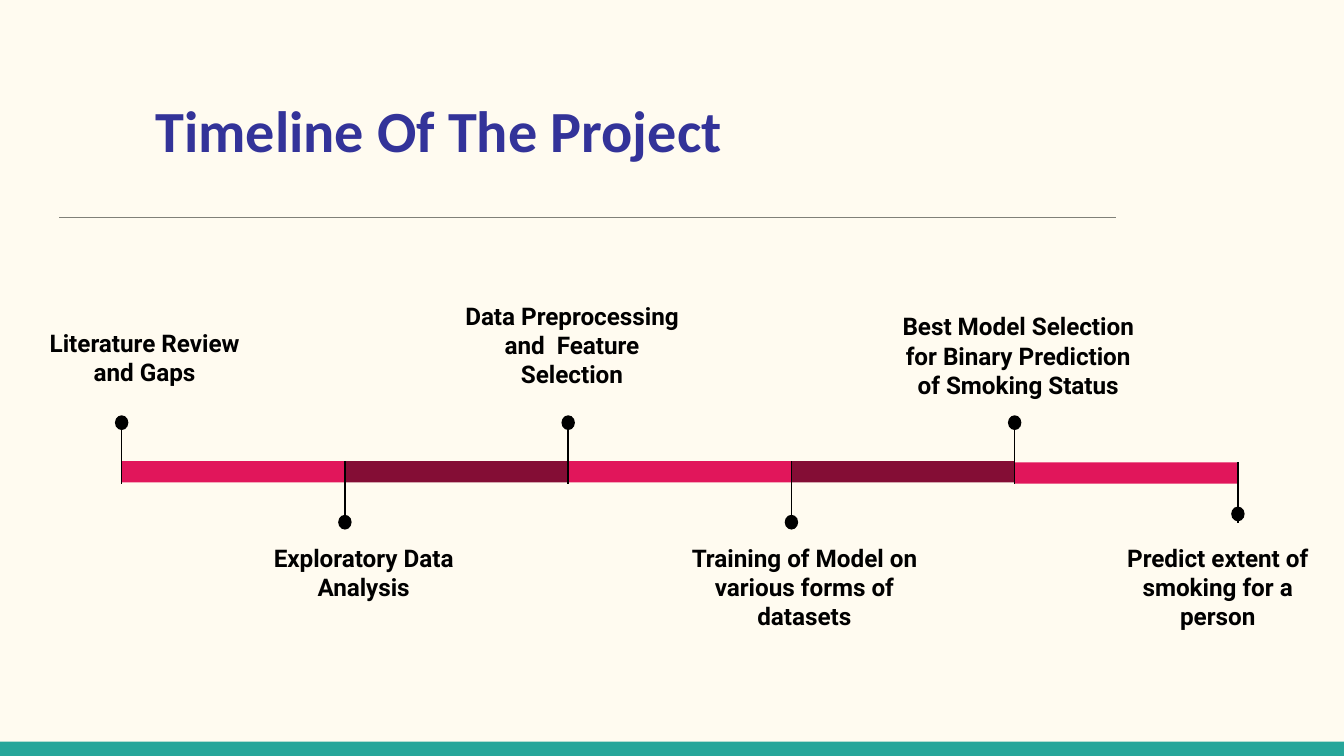
"""Build a project timeline slide with alternating milestones."""
from dataclasses import dataclass
from typing import Optional

import pptx
import pptx.dml.color
import pptx.enum.shapes
import pptx.enum.text
import pptx.oxml
import pptx.oxml.ns
import pptx.slide
import pptx.util

Pt = pptx.util.Pt
RGBColor = pptx.dml.color.RGBColor
Shape = pptx.enum.shapes.MSO_SHAPE

CREAM = RGBColor(0xFF, 0xFB, 0xF0)
TEAL = RGBColor(0x26, 0xA6, 0x9A)
INDIGO = RGBColor(0x33, 0x33, 0x99)
GRAY = RGBColor(0x80, 0x80, 0x78)
PINK = RGBColor(0xE1, 0x16, 0x5B)
MAROON = RGBColor(0x84, 0x0D, 0x35)
BLACK = RGBColor(0, 0, 0)

AXIS_LEFT, AXIS_TOP = 65.2, 247
STEP, BAR_HEIGHT = 119.6, 11.5
STEM_LENGTH = 32.4
DOT_WIDTH, DOT_HEIGHT = 7.2, 7.92
LABEL_HEIGHT = 84.2
LOWER_LABEL_TOP = 283.7


@dataclass(frozen=True)
class Milestone:
    """A labelled pin, with the bar that starts at it."""
    text: str
    label_left: float
    label_top: float = LOWER_LABEL_TOP
    label_width: float = 139
    bar: Optional[RGBColor] = PINK
    bar_top: float = AXIS_TOP
    stem_top: float = AXIS_TOP
    dot_top: float = 275.8


MILESTONES = [
    Milestone("Literature Review and Gaps", 7.9, 168.5, stem_top=226.8, dot_top=222.5),
    Milestone("Exploratory Data Analysis", 125.3, bar=MAROON),
    Milestone("Data Preprocessing and  Feature Selection", 236.9, 154.1,
              stem_top=226.8, dot_top=222.5),
    Milestone("Training of Model on various forms of datasets", 361.4, bar=MAROON),
    Milestone("Best Model Selection for Binary Prediction of Smoking Status", 475.9, 159.8,
              bar_top=247.7, stem_top=226.8, dot_top=222.5),
    Milestone("Predict extent of smoking for a person", 586.1, label_width=132.5,
              bar=None, stem_top=247.7, dot_top=271.4),
]


def add_filled(page: pptx.slide.Slide, kind: Shape, left: float, top: float,
               width: float, height: float, color: RGBColor) -> None:
    """Draw a borderless filled shape."""
    shape = page.shapes.add_shape(kind, Pt(left), Pt(top), Pt(width), Pt(height))
    shape.shadow.inherit = False
    shape.fill.solid()
    shape.fill.fore_color.rgb = color
    shape.line.fill.background()


def add_line(page: pptx.slide.Slide, left: float, top: float,
             right: float, bottom: float, color: RGBColor) -> None:
    """Draw a thin straight line without a shadow."""
    line = page.shapes.add_connector(pptx.enum.shapes.MSO_CONNECTOR.STRAIGHT,
                                     Pt(left), Pt(top), Pt(right), Pt(bottom))
    line.line.color.rgb = color
    line.line.width = Pt(0.75)
    line._element.spPr.append(pptx.oxml.parse_xml(
        f"<a:effectLst {pptx.oxml.ns.nsdecls('a')}/>"))


def write_text(box, text: str, font: str, size: float, color: RGBColor,
               alignment: pptx.enum.text.PP_ALIGN) -> None:
    """Fill a box with one bold, top-anchored paragraph."""
    frame = box.text_frame
    frame.text = text
    frame.word_wrap = True
    frame.auto_size = pptx.enum.text.MSO_AUTO_SIZE.NONE
    frame.vertical_anchor = pptx.enum.text.MSO_ANCHOR.TOP
    frame.margin_left = frame.margin_right = Pt(7.2)
    frame.margin_top = frame.margin_bottom = Pt(7.2)
    para = frame.paragraphs[0]
    para.alignment = alignment
    span = para.runs[0]
    span.font.name = font
    span.font.size = Pt(size)
    span.font.bold = True
    span.font.color.rgb = color


def add_title(page: pptx.slide.Slide) -> None:
    """Place the title and the rule under it."""
    title = page.shapes.title
    title.left, title.top, title.width, title.height = Pt(36.7), Pt(43.5), Pt(368), Pt(61.2)
    write_text(title, "Timeline Of The Project", "Calibri", 31.2, INDIGO,
               pptx.enum.text.PP_ALIGN.LEFT)
    title.text_frame.margin_left = Pt(46.5)
    add_line(page, 31.7, 116.6, 597.6, 116.6, GRAY)


def add_milestone(page: pptx.slide.Slide, index: int, milestone: Milestone) -> None:
    """Draw the bar, pin and label of one milestone."""
    center = AXIS_LEFT + index * STEP
    if milestone.bar is not None:
        add_filled(page, Shape.RECTANGLE, center, milestone.bar_top,
                   STEP, BAR_HEIGHT, milestone.bar)
    add_line(page, center, milestone.stem_top, center,
             milestone.stem_top + STEM_LENGTH, BLACK)
    add_filled(page, Shape.OVAL, center - DOT_WIDTH / 2, milestone.dot_top,
               DOT_WIDTH, DOT_HEIGHT, BLACK)
    label = page.shapes.add_textbox(Pt(milestone.label_left), Pt(milestone.label_top),
                                    Pt(milestone.label_width), Pt(LABEL_HEIGHT))
    write_text(label, milestone.text, "Roboto", 13, BLACK, pptx.enum.text.PP_ALIGN.CENTER)


def main() -> None:
    """Create and save the deck."""
    deck = pptx.Presentation()
    deck.slide_width, deck.slide_height = Pt(720), Pt(405)
    page = deck.slides.add_slide(deck.slide_layouts[5])
    page.background.fill.solid()
    page.background.fill.fore_color.rgb = CREAM
    add_filled(page, Shape.RECTANGLE, 0, 397.4, 720, 7.6, TEAL)
    add_title(page)
    for index, milestone in enumerate(MILESTONES):
        add_milestone(page, index, milestone)
    deck.save("out.pptx")


if __name__ == "__main__":
    main()
